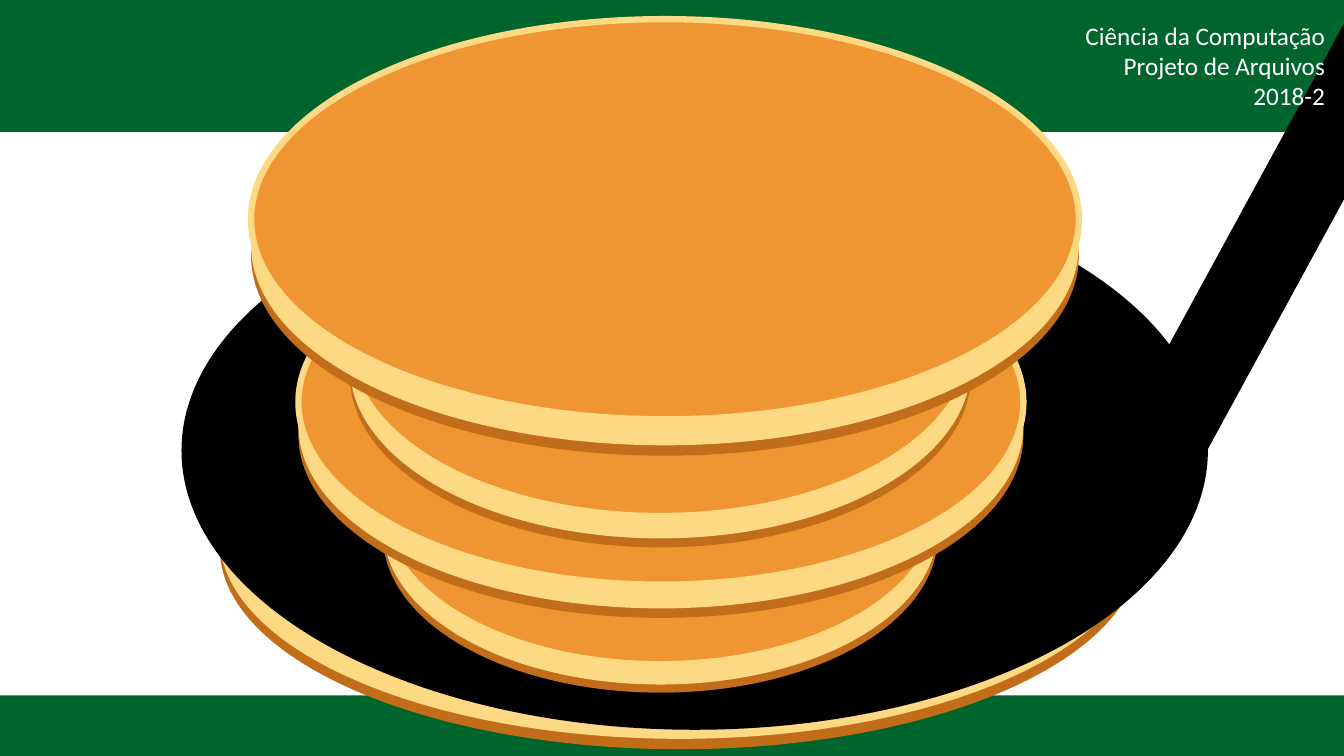
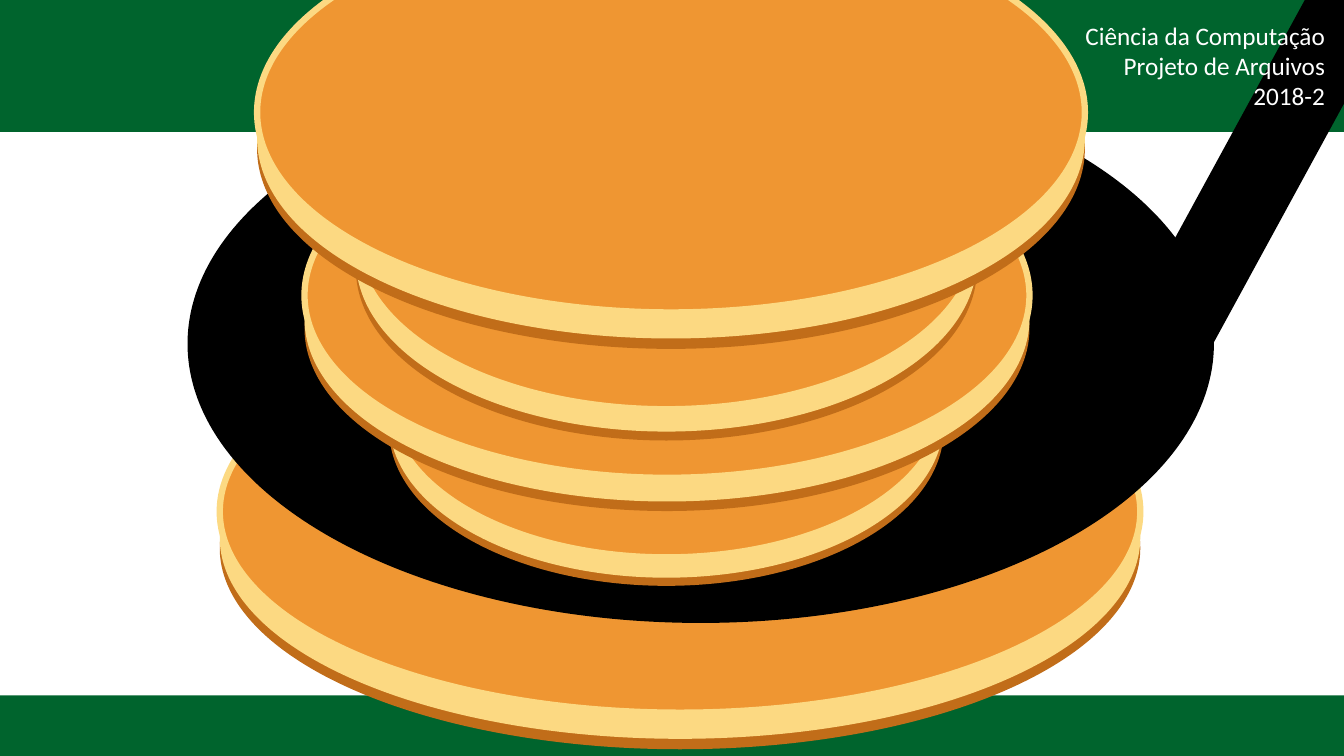
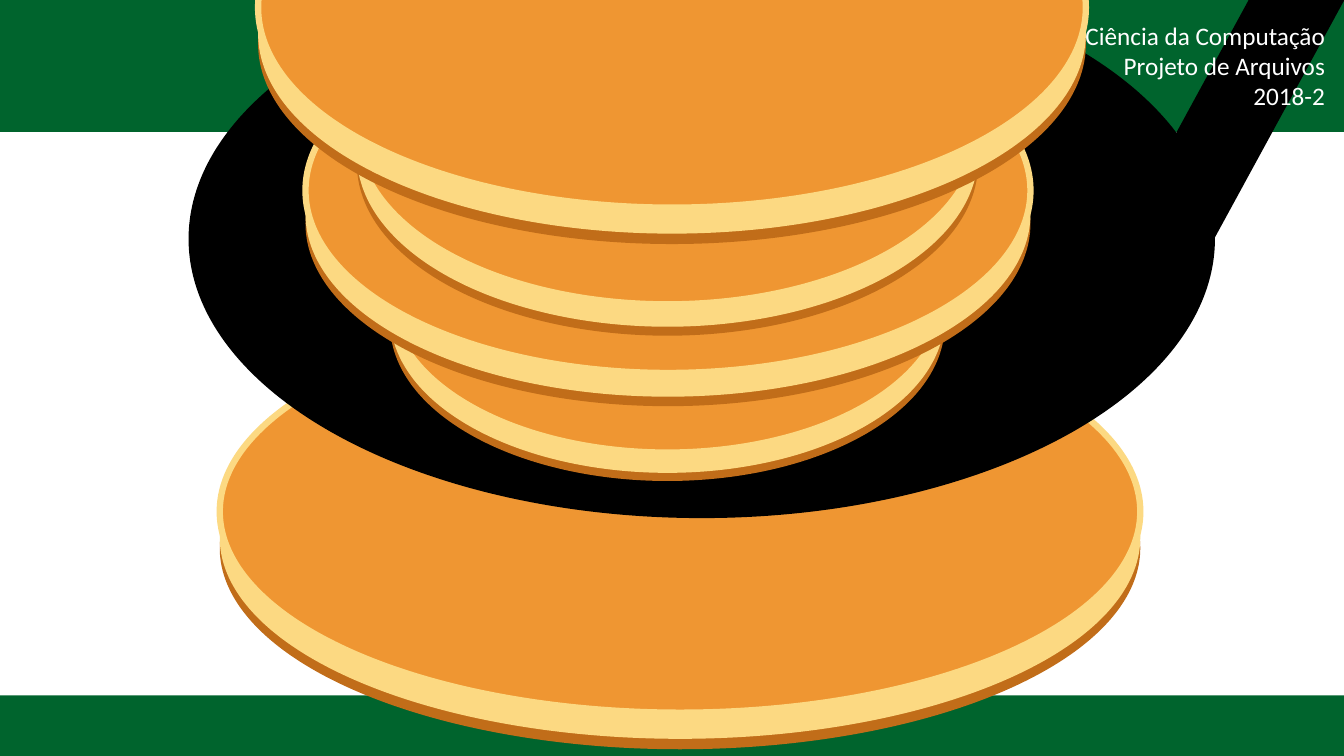
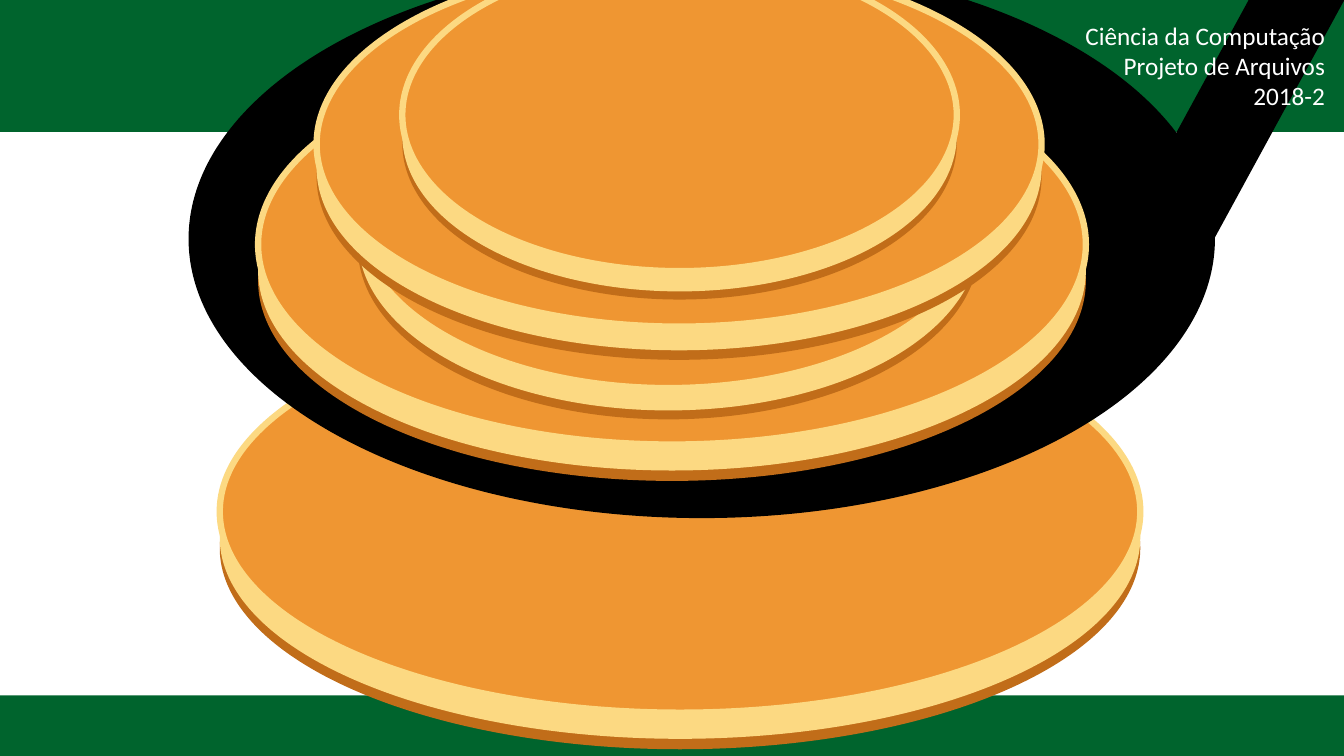
from dataclasses import dataclass

from lxml.etree import SubElement
from pptx import Presentation
from pptx.dml.color import RGBColor
from pptx.enum.shapes import MSO_CONNECTOR, MSO_SHAPE
from pptx.enum.text import MSO_AUTO_SIZE, PP_ALIGN
from pptx.oxml.ns import qn
from pptx.util import Inches, Pt


@dataclass(frozen=True)
class Theme:
    green: str = "00642D"
    white: str = "FFFFFF"
    pan: str = "000000"
    crust: str = "C16D19"
    batter: str = "FCD982"
    top: str = "EF9632"
    font: str = "Calibri"
    header_size: float = 18
    rim_width: float = 4.5
    handle_width: float = 60


THEME = Theme()
SLIDE_WIDTH, SLIDE_HEIGHT = 13.33, 7.5
HEADER = "Ciência da Computação\nProjeto de Arquivos\n2018-2"

# Pancake sizes: width, height
SIZES = {
    "small": (5.5, 3.1),
    "medium": (6.16, 3.41),
    "large": (7.19, 3.62),
    "wide": (8.21, 3.97),
    "base": (9.13, 3.99),
}
BASE_POSITION = (2.18, 3.08)

# How far the lower layers drop, as a share of the pancake's height
BATTER_DROP, CRUST_DROP = 0.065, 0.091

# Pan size and handle ends, the latter measured from the pan's corner
PAN_SIZE = (10.18, 5.54)
HANDLE_ENDS = ((9.73, 2.71), (12.52, -2.41))

# Stacks from bottom to top: size, and offset from the pan's corner
UNSORTED = [
    ("small", 2, 1.79),
    ("large", 1.16, 0.48),
    ("medium", 1.67, 0.01),
    ("wide", 0.69, -1.51),
]
SORTED = [
    ("wide", 0.69, 0.84),
    ("medium", 1.68, 0.84),
    ("large", 1.27, 0.02),
    ("small", 2.12, -0.01),
]

# One entry per slide: pan corner and the stack on it
SCENES = [
    ((1.8, 1.7), UNSORTED),
    ((1.86, 0.64), UNSORTED),
    ((1.87, -0.4), UNSORTED),
    ((1.87, -0.4), SORTED),
]


def color(value):
    return RGBColor.from_string(value)


def add_filled(shapes, kind, left, top, width, height, fill, rim=None):
    """Add a flat preset shape, with an outline only if rim is given."""
    shape = shapes.add_shape(
        kind, Inches(left), Inches(top), Inches(width), Inches(height))
    shape.shadow.inherit = False
    shape.fill.solid()
    shape.fill.fore_color.rgb = color(fill)
    if rim:
        shape.line.color.rgb = color(rim)
        shape.line.width = Pt(THEME.rim_width)
    else:
        shape.line.fill.background()


def add_bands(page):
    for top, height in ((6.9, 0.6), (0, 1.31)):
        add_filled(page.shapes, MSO_SHAPE.RECTANGLE,
                   0, top, SLIDE_WIDTH, height, THEME.green)


def add_pancake(page, size, left, top):
    """Group crust, batter and rimmed top, from back to front."""
    width, height = SIZES[size]
    layers = [
        (CRUST_DROP, THEME.crust, None),
        (BATTER_DROP, THEME.batter, None),
        (0, THEME.top, THEME.batter),
    ]
    group = page.shapes.add_group_shape()
    for drop, fill, rim in layers:
        add_filled(group.shapes, MSO_SHAPE.OVAL,
                   left, top + drop * height, width, height, fill, rim)


def add_pan(page, left, top):
    add_filled(page.shapes, MSO_SHAPE.OVAL, left, top, *PAN_SIZE, THEME.pan)
    ends = [Inches(corner + offset)
            for end in HANDLE_ENDS
            for corner, offset in zip((left, top), end)]
    handle = page.shapes.add_connector(MSO_CONNECTOR.STRAIGHT, *ends)
    handle.line.color.rgb = color(THEME.pan)
    handle.line.width = Pt(THEME.handle_width)
    SubElement(handle._element.spPr, qn("a:effectLst"))


def add_header(page):
    box = page.shapes.add_textbox(
        Inches(9.05), Inches(0.15), Inches(4.19), Inches(1.01))
    frame = box.text_frame
    frame.word_wrap = True
    frame.auto_size = MSO_AUTO_SIZE.SHAPE_TO_FIT_TEXT
    frame.text = HEADER
    for para in frame.paragraphs:
        para.alignment = PP_ALIGN.RIGHT
        for span in para.runs:
            span.font.name = THEME.font
            span.font.size = Pt(THEME.header_size)
            span.font.color.rgb = color(THEME.white)


def add_scene(deck, pan_corner, stack):
    page = deck.slides.add_slide(deck.slide_layouts[6])
    add_bands(page)
    add_pancake(page, "base", *BASE_POSITION)
    add_pan(page, *pan_corner)
    pan_left, pan_top = pan_corner
    for size, across, down in stack:
        add_pancake(page, size, pan_left + across, pan_top + down)
    add_header(page)


def main():
    deck = Presentation()
    deck.slide_width = Inches(SLIDE_WIDTH)
    deck.slide_height = Inches(SLIDE_HEIGHT)
    for pan_corner, stack in SCENES:
        add_scene(deck, pan_corner, stack)
    deck.save("out.pptx")


if __name__ == "__main__":
    main()
